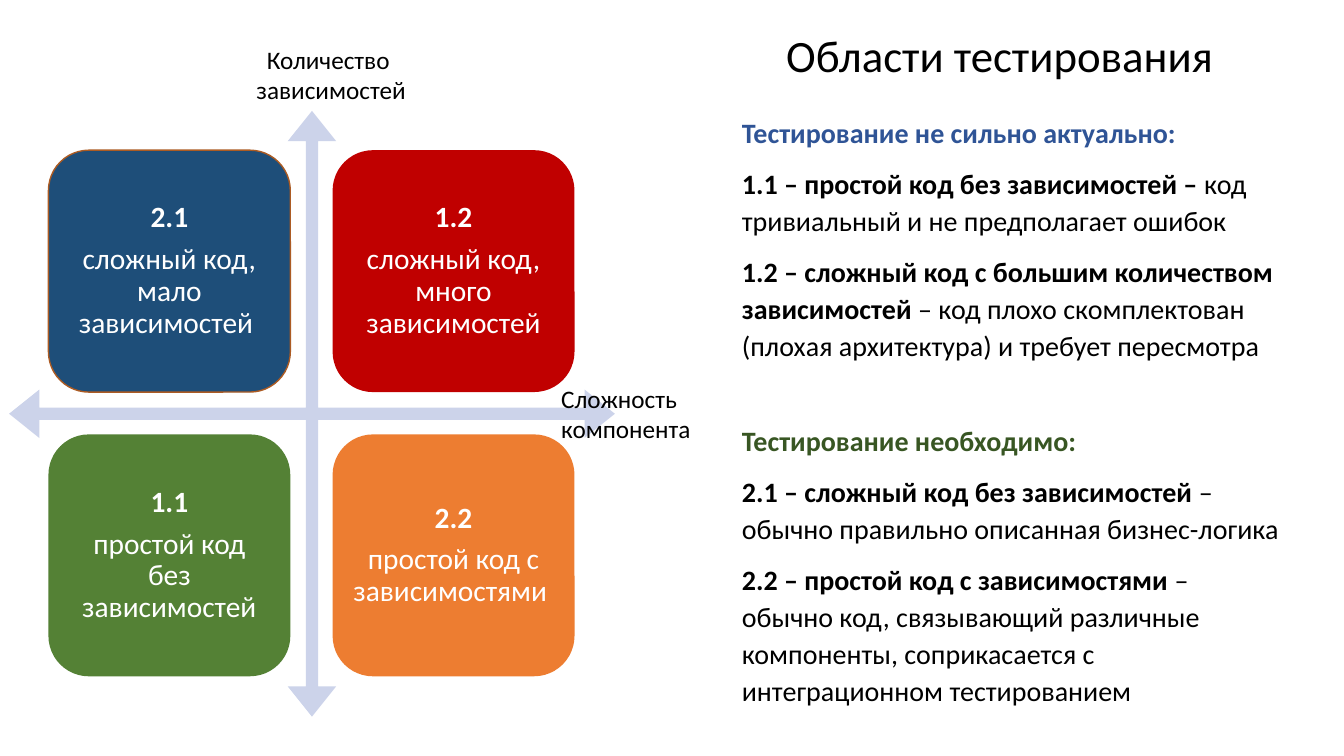
"""Build the slide on areas of testing: a quadrant diagram with explanations."""
from dataclasses import dataclass

from lxml.etree import SubElement
from pptx import Presentation
from pptx.dml.color import RGBColor
from pptx.enum.shapes import MSO_SHAPE as SHAPE
from pptx.enum.text import MSO_ANCHOR as ANCHOR, MSO_AUTO_SIZE as FIT, PP_ALIGN as ALIGN
from pptx.oxml.ns import qn
from pptx.util import Pt

BLACK = RGBColor(0x00, 0x00, 0x00)
WHITE = RGBColor(0xFF, 0xFF, 0xFF)
LILAC = RGBColor(0xCC, 0xD3, 0xEA)
NAVY = RGBColor(0x1E, 0x4E, 0x79)
RUST = RGBColor(0xAC, 0x5B, 0x23)
RED = RGBColor(0xC0, 0x00, 0x00)
GREEN = RGBColor(0x54, 0x81, 0x35)
ORANGE = RGBColor(0xED, 0x7D, 0x31)
BLUE_HEAD = RGBColor(0x2F, 0x54, 0x96)
GREEN_HEAD = RGBColor(0x38, 0x56, 0x23)

FONT = "Calibri"
GRID_LEFT, GRID_TOP, GRID_STEP, TILE = 34.6, 107.3, 203, 172.8


@dataclass
class Tile:
    col: int
    row: int
    number: str
    caption: str
    fill: RGBColor
    line: RGBColor | None = None


@dataclass
class Label:
    lines: list[str]
    box: tuple[float, float, float, float]
    align: ALIGN


@dataclass
class Note:
    bold: str
    plain: str = ""
    color: RGBColor = BLACK
    spacing: float = 1.1
    before: float = 10


TILES = [
    Tile(0, 0, "2.1", "сложный код, мало зависимостей ", NAVY, RUST),
    Tile(1, 0, "1.2", "сложный код, много зависимостей", RED),
    Tile(0, 1, "1.1", "простой код без зависимостей", GREEN),
    Tile(1, 1, "2.2", "простой код с зависимостями ", ORANGE),
]
LABELS = [
    Label(["Количество ", "зависимостей"], (159.1, 28.1, 154.8, 51.1), ALIGN.CENTER),
    Label(["Сложность компонента"], (393.8, 270, 128.9, 51.1), ALIGN.LEFT),
]
NOTES = [
    Note("Тестирование не сильно актуально:", color=BLUE_HEAD, spacing=1, before=0),
    Note("1.1 – простой код без зависимостей – ", "код тривиальный и не предполагает ошибок"),
    Note("1.2 – сложный код с большим количеством зависимостей",
         " – код плохо скомплектован (плохая архитектура) и требует пересмотра"),
    Note("Тестирование необходимо:", color=GREEN_HEAD, spacing=1, before=44),
    Note("2.1 – сложный код без зависимостей ", "– обычно правильно описанная бизнес-логика"),
    Note("2.2 – простой код с зависимостями",
         " – обычно код, связывающий различные компоненты, "
         "соприкасается с интеграционном тестированием"),
]


def apply(target, values: dict) -> None:
    for name, value in values.items():
        setattr(target, name, value)


def place(sp, left: float, top: float, width: float, height: float) -> None:
    apply(sp, {"left": Pt(left), "top": Pt(top), "width": Pt(width), "height": Pt(height)})


def frame(sp, inset_x: float, inset_y: float, anchor: ANCHOR):
    tf = sp.text_frame
    apply(tf, {"word_wrap": True, "auto_size": FIT.NONE, "vertical_anchor": anchor,
               "margin_left": Pt(inset_x), "margin_right": Pt(inset_x),
               "margin_top": Pt(inset_y), "margin_bottom": Pt(inset_y)})
    return tf


def add_paragraph(tf, index: int, align: ALIGN, spacing: float, before: float):
    p = tf.add_paragraph() if index else tf.paragraphs[0]
    apply(p, {"alignment": align, "line_spacing": spacing,
              "space_before": Pt(before), "space_after": Pt(0)})
    return p


def add_run(p, text: str, size: float, color: RGBColor, bold: bool = False) -> None:
    r = p.add_run()
    r.text = text
    apply(r.font, {"name": FONT, "size": Pt(size), "bold": bold})
    r.font.color.rgb = color


def add_block(shapes, kind: SHAPE, box: tuple, fill: RGBColor,
              line: RGBColor | None, adjustments: list[float]):
    sp = shapes.add_shape(kind, *(Pt(v) for v in box))
    sp.shadow.inherit = False
    sp.fill.solid()
    sp.fill.fore_color.rgb = fill
    if line is None:
        sp.line.fill.background()
    else:
        sp.line.color.rgb = line
        sp.line.width = Pt(1)
    for i, value in enumerate(adjustments):
        sp.adjustments[i] = value
    return sp


def draw_tile(shapes, tile: Tile) -> None:
    box = (GRID_LEFT + tile.col * GRID_STEP, GRID_TOP + tile.row * GRID_STEP, TILE, TILE)
    sp = add_block(shapes, SHAPE.ROUNDED_RECTANGLE, box, tile.fill, tile.line, [0.167])
    tf = frame(sp, 6.3, 6.3, ANCHOR.MIDDLE)
    for i, (text, before) in enumerate([(tile.number, 0), (tile.caption, 7.3)]):
        add_run(add_paragraph(tf, i, ALIGN.CENTER, 0.9, before), text, 21, WHITE, i == 0)


def draw_label(shapes, label: Label) -> None:
    tf = frame(shapes.add_textbox(*(Pt(v) for v in label.box)), 7.2, 3.6, ANCHOR.TOP)
    for i, line in enumerate(label.lines):
        add_run(add_paragraph(tf, i, label.align, 1, 0), line, 18, BLACK)


def write_note(tf, index: int, note: Note) -> None:
    p = add_paragraph(tf, index, ALIGN.LEFT, note.spacing, note.before)
    pPr = p._p.get_or_add_pPr()
    pPr.set("marL", "0")
    pPr.set("indent", "0")
    SubElement(pPr, qn("a:buNone"))
    add_run(p, note.bold, 20, note.color, True)
    if note.plain:
        add_run(p, note.plain, 20, BLACK)


def main() -> None:
    prs = Presentation()
    prs.slide_width, prs.slide_height = Pt(960), Pt(540)
    s = prs.slides.add_slide(prs.slide_layouts[1])
    title, body = s.placeholders

    place(title, 554.4, 13, 352.1, 56.9)
    tf = frame(title, 7.2, 3.6, ANCHOR.MIDDLE)
    add_run(add_paragraph(tf, 0, ALIGN.LEFT, 0.9, 0), "Области тестирования", 32, BLACK)

    place(body, 522.7, 79.2, 400.3, 447.8)
    tf = frame(body, 7.2, 3.6, ANCHOR.TOP)
    for i, note in enumerate(NOTES):
        write_note(tf, i, note)

    matrix = s.shapes.add_group_shape().shapes
    add_block(matrix, SHAPE.QUAD_ARROW, (6.5, 79.2, 432.7, 432.7), LILAC, None,
              [0.02, 0.04, 0.05])
    for tile in TILES:
        draw_tile(matrix, tile)
    for label in LABELS:
        draw_label(s.shapes, label)

    prs.save("out.pptx")


if __name__ == "__main__":
    main()
